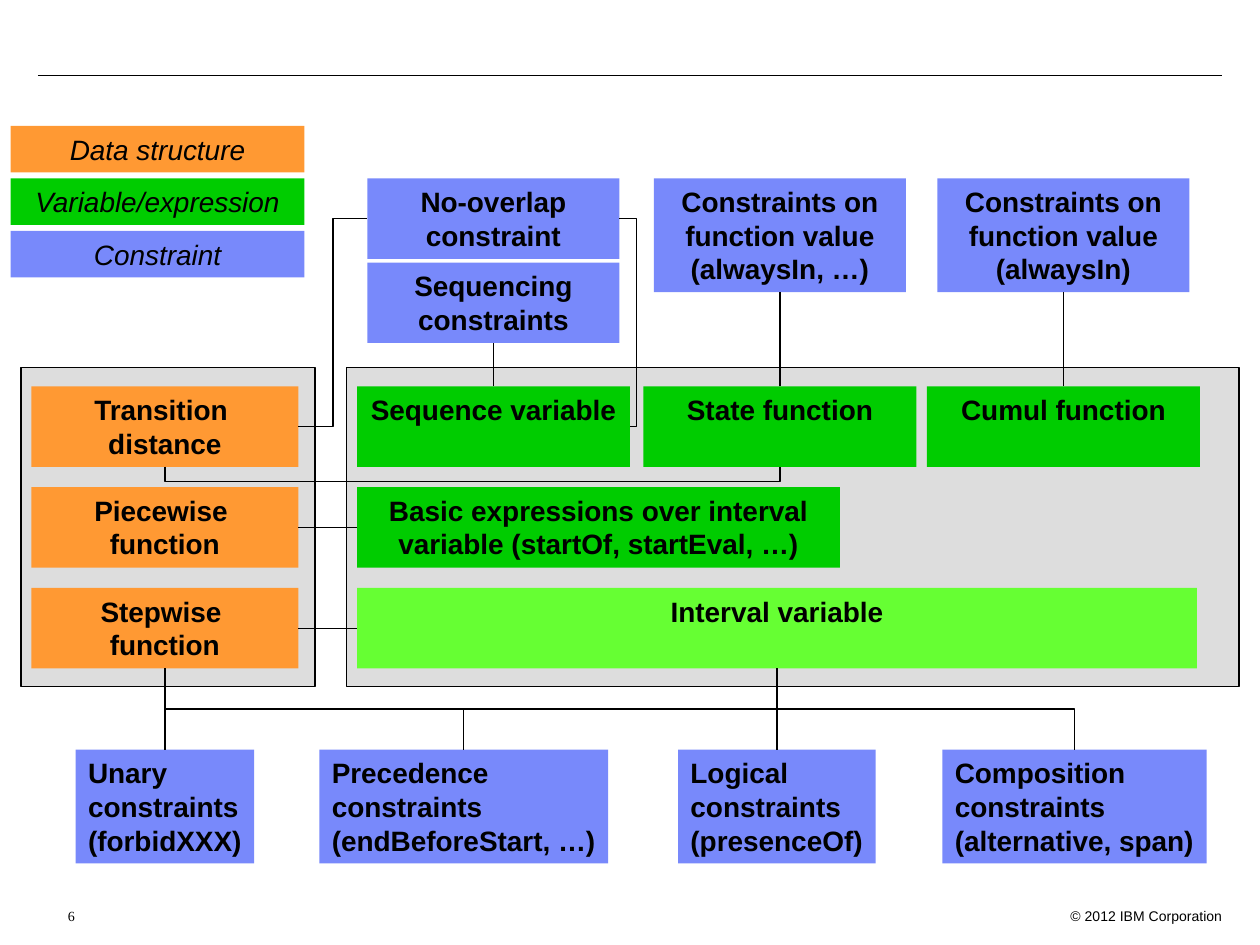
from lxml import etree
from pptx import Presentation
from pptx import util as u
from pptx.dml.color import RGBColor
from pptx.enum import shapes, text
from pptx.oxml.ns import qn

Pt = u.Pt
COLORS = {"data": "FF9933", "expression": "00CC00", "interval": "66FF33",
          "constraint": "7889FB", "panel": "DDDDDD", "ink": "000000"}
TOP, LEFT, BOTTOM, RIGHT = range(4)

# Content
LEGEND = [("Data structure", "data"), ("Variable/expression", "expression"),
          ("Constraint", "constraint")]
DATA = [("transition", ["Transition ", "distance"]),
        ("piecewise", ["Piecewise ", "function"]),
        ("stepwise", ["Stepwise ", "function"])]
# key, label, center of the column
FUNCTIONS = [("sequence", "Sequence variable", 282),
             ("state", "State function", 445.7),
             ("cumul", "Cumul function", 607.7)]
# key, lines, center of the column, top, height
UPPER = [("no_overlap", ["No-overlap", "constraint"], 282, 102, 46),
         ("sequencing", ["Sequencing", "constraints"], 282, 150, 46),
         ("state_value", ["Constraints on function value", "(alwaysIn, …)"], 445.7, 102, 65),
         ("cumul_value", ["Constraints on function value", "(alwaysIn)"], 607.7, 102, 65)]
# key, lines, center, width
LOWER = [("unary", ["Unary", "constraints", "(forbidXXX)"], 94.25, 102),
         ("precedence", ["Precedence", "constraints", "(endBeforeStart, …)"], 265, 165),
         ("logical", ["Logical", "constraints", "(presenceOf)"], 444, 113),
         ("composition", ["Composition", "constraints", "(alternative, span)"], 614, 151)]
STRAIGHT = [("stepwise", BOTTOM, "unary", TOP),
            ("stepwise", RIGHT, "interval", LEFT),
            ("piecewise", RIGHT, "basic", LEFT),
            ("interval", BOTTOM, "logical", TOP),
            ("cumul", TOP, "cumul_value", BOTTOM),
            ("state", TOP, "state_value", BOTTOM),
            ("sequence", TOP, "sequencing", BOTTOM)]
# from, side, to, side, distance to the bend (None for halfway)
ELBOWS = [("transition", RIGHT, "no_overlap", LEFT, None),
          ("no_overlap", RIGHT, "sequence", RIGHT, 9.9),
          ("transition", BOTTOM, "state", BOTTOM, 7.8),
          ("interval", BOTTOM, "unary", TOP, None),
          ("interval", BOTTOM, "precedence", TOP, None),
          ("interval", BOTTOM, "composition", TOP, None)]

ROW_TOP, ROW_PITCH, ROW_HEIGHT = 220.8, 57.6, 46
DATA_LEFT, DATA_WIDTH = 18, 152.5
VARIABLE_LEFT, FUNCTION_WIDTH, UPPER_WIDTH = 204, 156, 144
LOWER_TOP, LOWER_HEIGHT = 428.4, 65

prs = Presentation()
prs.slide_width, prs.slide_height = Pt(720), Pt(540)
slide = prs.slides.add_slide(prs.slide_layouts[6])
boxes = {}


def rgb(name):
    return RGBColor.from_string(COLORS[name])


def write(shape, lines, align, size=16, bold=False, italic=False, font="Arial", wrap=True):
    frame = shape.text_frame
    frame.word_wrap = wrap
    frame.vertical_anchor = text.MSO_ANCHOR.TOP
    for i, line in enumerate(lines):
        paragraph = frame.paragraphs[0] if i == 0 else frame.add_paragraph()
        paragraph.alignment = align
        run = paragraph.add_run()
        run.text = line
        run.font.name, run.font.size = font, Pt(size)
        run.font.bold, run.font.italic = bold, italic
        run.font.color.rgb = rgb("ink")


def rectangle(x, y, w, h, color, outlined=False):
    shape = slide.shapes.add_shape(shapes.MSO_SHAPE.RECTANGLE, Pt(x), Pt(y), Pt(w), Pt(h))
    shape.shadow.inherit = False
    shape.fill.solid()
    shape.fill.fore_color.rgb = rgb(color)
    if outlined:
        shape.line.color.rgb = rgb("ink")
        shape.line.width = Pt(0.75)
    else:
        shape.line.fill.background()
    return shape


def box(key, lines, x, y, w, h, color, align=text.PP_ALIGN.CENTER, wrap=True):
    boxes[key] = rectangle(x, y, w, h, color)
    write(boxes[key], lines, align, bold=True, wrap=wrap)


def connector(kind, start, end):
    line = slide.shapes.add_connector(kind, *start, *end)
    line.line.color.rgb = rgb("ink")
    line.line.width = Pt(0.75)
    etree.SubElement(line._element.spPr, qn("a:effectLst"))
    return line


def side_middle(key, side):
    b = boxes[key]
    x = b.left + {LEFT: 0, RIGHT: b.width}.get(side, b.width // 2)
    y = b.top + {TOP: 0, BOTTOM: b.height}.get(side, b.height // 2)
    return x, y


def elbow(start_key, start_side, end_key, end_side, bend):
    start, end = side_middle(start_key, start_side), side_middle(end_key, end_side)
    line = connector(shapes.MSO_CONNECTOR.ELBOW, start, end)
    (x1, y1), (x2, y2) = start, end
    length = abs(x2 - x1)
    if start_side == BOTTOM:
        # An elbow that leaves downward is a sideways one turned a quarter about its center
        length, span = max(abs(y2 - y1), Pt(0.16)), abs(x2 - x1)
        line.left, line.top = (x1 + x2 - length) // 2, (y1 + y2 - span) // 2
        line.width, line.height = length, span
        xfrm = line._element.spPr.find(qn("a:xfrm"))
        for flip in ("flipH", "flipV"):
            xfrm.attrib.pop(flip, None)
        xfrm.set("rot", str((270 if x2 > x1 else 90) * 60000))
        if x2 > x1:
            xfrm.set("flipH", "1")
    if bend:
        guides = line._element.spPr.find(qn("a:prstGeom")).find(qn("a:avLst"))
        value = round(Pt(bend) / length * 100000)
        etree.SubElement(guides, qn("a:gd"), name="adj1", fmla=f"val {value}")


# Header rule and footer
connector(shapes.MSO_CONNECTOR.STRAIGHT, (Pt(21.6), Pt(43.2)), (Pt(698.4), Pt(43.2)))
for label, x, w, align, font in [
        ("© 2012 IBM Corporation", 577.6, 128, text.PP_ALIGN.RIGHT, "Arial"),
        ("6", 31.7, 28.8, text.PP_ALIGN.LEFT, "Times New Roman")]:
    footer = slide.shapes.add_textbox(Pt(x), Pt(514.8), Pt(w), Pt(14.4))
    write(footer, [label], align, size=8, font=font)

# Gray panels
for x, w in [(12, 168), (198, 510)]:
    rectangle(x, 210, w, 182.5, "panel", outlined=True)

# Data structures, variables and expressions
rows = [ROW_TOP + i * ROW_PITCH for i in range(3)]
for (key, lines), y in zip(DATA, rows):
    box(key, lines, DATA_LEFT, y, DATA_WIDTH, ROW_HEIGHT, "data")
for key, label, center in FUNCTIONS:
    box(key, [label], center - FUNCTION_WIDTH / 2, rows[0], FUNCTION_WIDTH, ROW_HEIGHT,
        "expression")
box("basic", ["Basic expressions over interval variable (startOf, startEval, …)"],
    VARIABLE_LEFT, rows[1], 276, ROW_HEIGHT, "expression")
box("interval", ["Interval variable"], VARIABLE_LEFT, rows[2], 480, ROW_HEIGHT, "interval")

# Constraints above and below
for key, lines, center, y, h in UPPER:
    box(key, lines, center - UPPER_WIDTH / 2, y, UPPER_WIDTH, h, "constraint")
for key, lines, center, w in LOWER:
    box(key, lines, center - w / 2, LOWER_TOP, w, LOWER_HEIGHT, "constraint",
        text.PP_ALIGN.LEFT, wrap=False)

# Connections
for start_key, start_side, end_key, end_side in STRAIGHT:
    link = connector(shapes.MSO_CONNECTOR.STRAIGHT, side_middle(start_key, start_side),
                     side_middle(end_key, end_side))
    link.begin_connect(boxes[start_key], start_side)
    link.end_connect(boxes[end_key], end_side)
for route in ELBOWS:
    elbow(*route)

# Legend
for i, (label, color) in enumerate(LEGEND):
    entry = rectangle(6, 72 + i * 30, 168, 26.6, color)
    write(entry, [label], text.PP_ALIGN.CENTER, italic=True)

prs.save("out.pptx")
